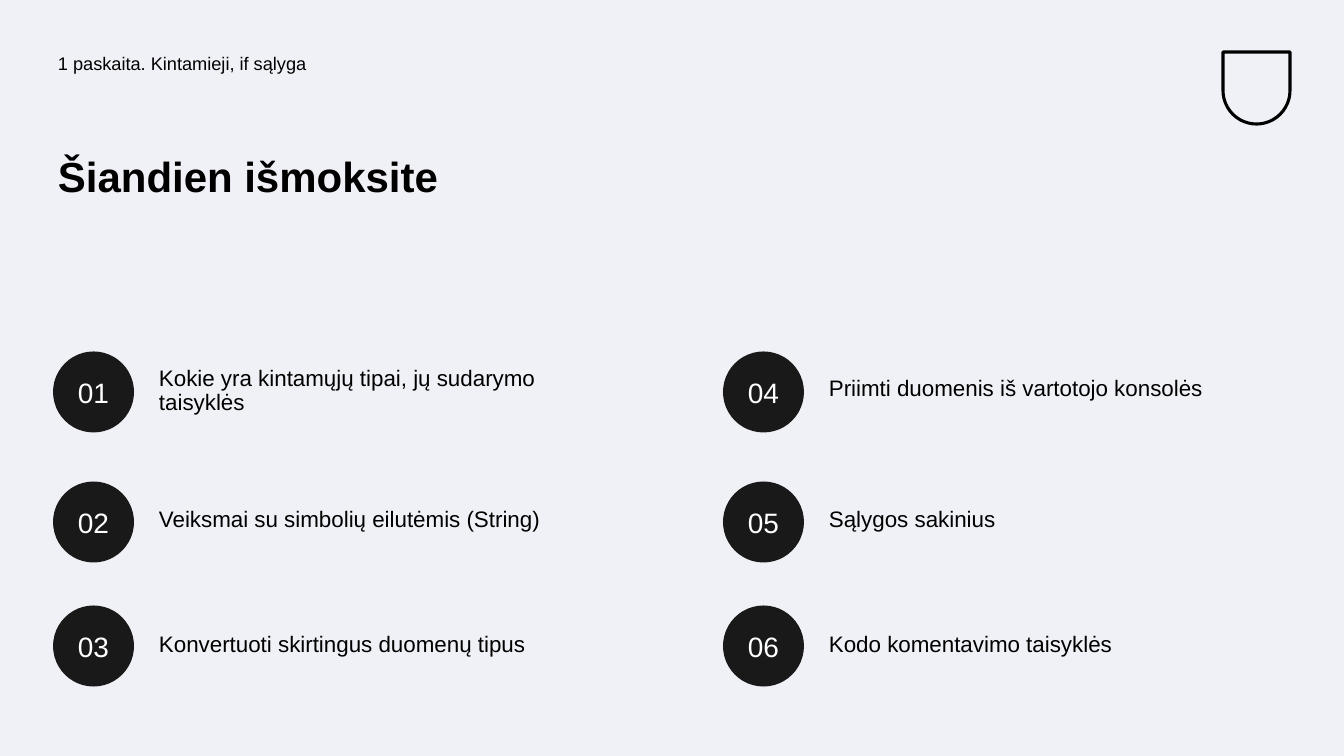
from pptx import Presentation
from pptx.dml.color import RGBColor
from pptx.enum.shapes import MSO_SHAPE
from pptx.enum.text import MSO_ANCHOR, PP_ALIGN
from pptx.util import Pt

BACKGROUND = RGBColor(0xF0, 0xF1, 0xF6)
BLACK = RGBColor(0x00, 0x00, 0x00)
CHARCOAL = RGBColor(0x19, 0x19, 0x19)
WHITE = RGBColor(0xFE, 0xFF, 0xFF)


class Page:
    """Holds the style and the current slide; lengths are in pixels."""

    font = "Arial"
    scale = 914400 / 100.8
    inset = 5

    def __init__(self, deck):
        self.slide = deck.slides.add_slide(deck.slide_layouts[6])
        self.slide.background.fill.solid()
        self.slide.background.fill.fore_color.rgb = BACKGROUND

    @classmethod
    def emu(cls, *pixels):
        return [round(value * cls.scale) for value in pixels]

    def add_words(self, box, words, size, color, bold=False):
        frame = box.text_frame
        frame.word_wrap = True
        (margin,) = self.emu(self.inset)
        frame.margin_left = frame.margin_right = margin
        frame.margin_top = frame.margin_bottom = margin
        para = frame.paragraphs[0]
        span = para.add_run()
        span.text = words
        span.font.name = self.font
        span.font.size = Pt(size)
        span.font.bold = bold
        span.font.color.rgb = color
        return para

    def text(self, left, top, width, height, words, size, bold=False):
        box = self.slide.shapes.add_textbox(*self.emu(left, top, width, height))
        para = self.add_words(box, words, size, BLACK, bold)
        para.line_spacing = 0.9

    def badge(self, left, top, size, words):
        circle = self.slide.shapes.add_shape(
            MSO_SHAPE.OVAL, *self.emu(left, top, size, size))
        circle.shadow.inherit = False
        circle.fill.solid()
        circle.fill.fore_color.rgb = CHARCOAL
        circle.line.fill.background()
        para = self.add_words(circle, words, 20, WHITE)
        para.alignment = PP_ALIGN.CENTER
        circle.text_frame.vertical_anchor = MSO_ANCHOR.MIDDLE
        circle.text_frame.word_wrap = False

    def shield(self, left, top, width, height):
        shield = self.slide.shapes.add_shape(
            MSO_SHAPE.ROUND_2_SAME_RECTANGLE, *self.emu(left, top, width, height))
        shield.adjustments[0] = 0.5
        shield.rotation = 180
        shield.shadow.inherit = False
        shield.fill.background()
        shield.line.color.rgb = BLACK
        shield.line.width = Pt(2.2)


deck = Presentation()
deck.slide_width, deck.slide_height = Page.emu(1344, 756)
page = Page(deck)

# Header
page.shield(1223, 52, 67, 72)
page.text(53, 50, 619, 50, "1 paskaita. Kintamieji, if sąlyga", 13)
page.text(53, 151, 569, 150, "Šiandien išmoksite", 30, bold=True)

# Numbered topics: two columns, each label centred on its badge
BADGE = 81
LABEL_OFFSET = 101
LABEL_WIDTH = 467
WRAPPED_EXTRA = 20
COLUMNS = [53, 723]
ROWS = [(392, 40), (522, 38), (646, 36)]  # centre, label height
TOPICS = [
    "Kokie yra kintamųjų tipai, jų sudarymo taisyklės",
    "Veiksmai su simbolių eilutėmis (String)",
    "Konvertuoti skirtingus duomenų tipus",
    "Priimti duomenis iš vartotojo konsolės",
    "Sąlygos sakinius",
    "Kodo komentavimo taisyklės",
]

for index, topic in enumerate(TOPICS):
    column, row = divmod(index, len(ROWS))
    left = COLUMNS[column]
    centre, height = ROWS[row]
    if len(topic) > 40:
        height += WRAPPED_EXTRA
    page.badge(left, centre - BADGE / 2, BADGE, f"{index + 1:02}")
    page.text(left + LABEL_OFFSET, centre - height / 2,
              LABEL_WIDTH, height, topic, 16)

deck.save("out.pptx")
